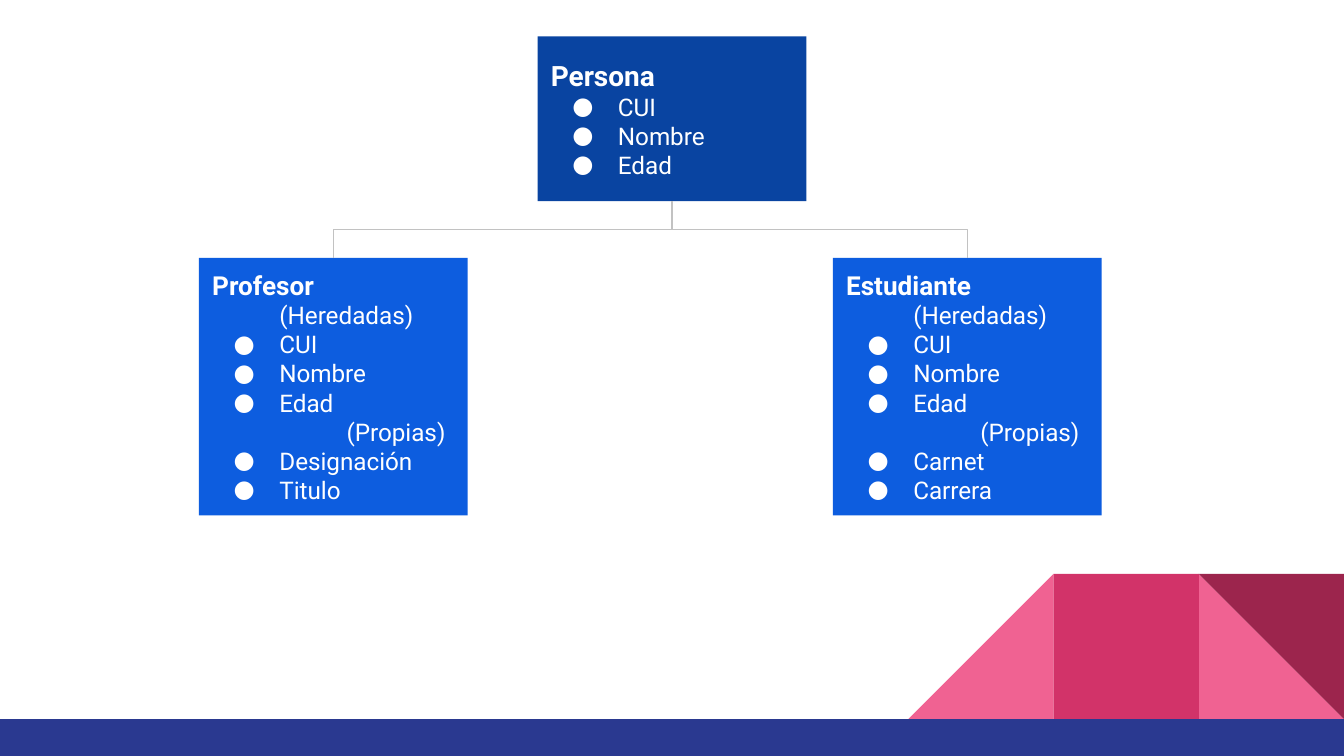
from lxml.etree import SubElement
from pptx import Presentation
from pptx.dml.color import RGBColor
from pptx.enum.shapes import MSO_CONNECTOR, MSO_SHAPE
from pptx.enum.text import MSO_ANCHOR, PP_ALIGN
from pptx.oxml.ns import qn
from pptx.util import Pt

COLORS = {
    "parent": "0944A1",
    "child": "0D5DDF",
    "text": "FFFFFF",
    "line": "C2C2C2",
    "pink": "F06292",
    "rose": "D23369",
    "wine": "9C254D",
    "navy": "2A3990",
}
FONT = "Roboto"
WIDTH, HEIGHT = 720, 405
BOX = 144
BASE = 385.2
TILE = 77.8
SHARED = ["CUI", "Nombre", "Edad"]


def color(name):
    return RGBColor.from_string(COLORS[name])


def add_block(slide, kind, left, top, width, height, fill, turn=0):
    block = slide.shapes.add_shape(kind, Pt(left), Pt(top), Pt(width), Pt(height))
    block.shadow.inherit = False
    block.fill.solid()
    block.fill.fore_color.rgb = color(fill)
    block.line.fill.background()
    block.rotation = turn
    return block


def add_text(frame, text, size, bold=False, margin=0, bullet=False):
    para = frame.paragraphs[0]
    if para.text:
        para = frame.add_paragraph()
    para.text = text
    para.alignment = PP_ALIGN.JUSTIFY
    font = para.runs[0].font
    font.name, font.size, font.bold = FONT, Pt(size), bold
    font.color.rgb = color("text")
    props = para._p.get_or_add_pPr()
    props.set("marL", str(Pt(margin)))
    props.set("indent", str(Pt(-24.5 if bullet else 0)))
    if bullet:
        tint = SubElement(props, qn("a:buClr"))
        SubElement(tint, qn("a:srgbClr"), val=COLORS["text"])
        SubElement(props, qn("a:buFont"), typeface=FONT)
        SubElement(props, qn("a:buChar"), char="●")


def add_class(slide, name, size, left, top, height, fill, own=()):
    box = add_block(slide, MSO_SHAPE.RECTANGLE, left, top, BOX, height, fill)
    frame = box.text_frame
    frame.word_wrap = True
    frame.vertical_anchor = MSO_ANCHOR.MIDDLE
    frame.margin_left = frame.margin_right = Pt(7.2)
    frame.margin_top = frame.margin_bottom = Pt(7.2)
    add_text(frame, name, size, bold=True)
    if own:
        add_text(frame, "(Heredadas)", 13, margin=36)
    for item in SHARED:
        add_text(frame, item, 13, margin=36, bullet=True)
    if own:
        add_text(frame, "(Propias)", 13, margin=72)
    for item in own:
        add_text(frame, item, 13, margin=36, bullet=True)
    return box


def add_link(slide, start, end):
    (x1, y1), (x2, y2) = start, end
    mid_x, mid_y = (x1 + x2) / 2, (y1 + y2) / 2
    ends = [(mid_x + mid_y - y, mid_y + x - mid_x) for x, y in (start, end)]
    link = slide.shapes.add_connector(
        MSO_CONNECTOR.ELBOW, *[Pt(value) for point in ends for value in point]
    )
    link.line.color.rgb = color("line")
    link.line.width = Pt(0.75)
    props = link._element.spPr
    props.xfrm.set("rot", str(270 * 60000))
    SubElement(props, qn("a:effectLst"))


def add_decor(slide):
    tiles = [
        (MSO_SHAPE.RIGHT_TRIANGLE, 1, "pink", 0),
        (MSO_SHAPE.RIGHT_TRIANGLE, 3, "pink", 270),
        (MSO_SHAPE.RECTANGLE, 2, "rose", 0),
        (MSO_SHAPE.RIGHT_TRIANGLE, 1, "wine", 180),
    ]
    for kind, step, fill, turn in tiles:
        left = WIDTH - step * TILE
        add_block(slide, kind, left, BASE - TILE, TILE, TILE, fill, turn)
    add_block(slide, MSO_SHAPE.RECTANGLE, 0, BASE, WIDTH, HEIGHT - BASE, "navy")


def main():
    deck = Presentation()
    deck.slide_width, deck.slide_height = Pt(WIDTH), Pt(HEIGHT)
    slide = deck.slides.add_slide(deck.slide_layouts[6])
    add_decor(slide)

    left, top, tall = (WIDTH - BOX) / 2, 19.5, 88.3
    row = 138.2
    add_class(slide, "Persona", 15, left, top, tall, "parent")
    root = (left + BOX / 2, top + tall)

    kids = [
        ("Profesor", 106.6, ["Designación", "Titulo"]),
        ("Estudiante", 446.2, ["Carnet", "Carrera"]),
    ]
    for name, left, own in kids:
        add_class(slide, name, 14, left, row, 138, "child", own)
    for name, left, own in kids:
        ends = sorted([root, (left + BOX / 2, row)])
        add_link(slide, *ends)

    deck.save("out.pptx")


if __name__ == "__main__":
    main()
